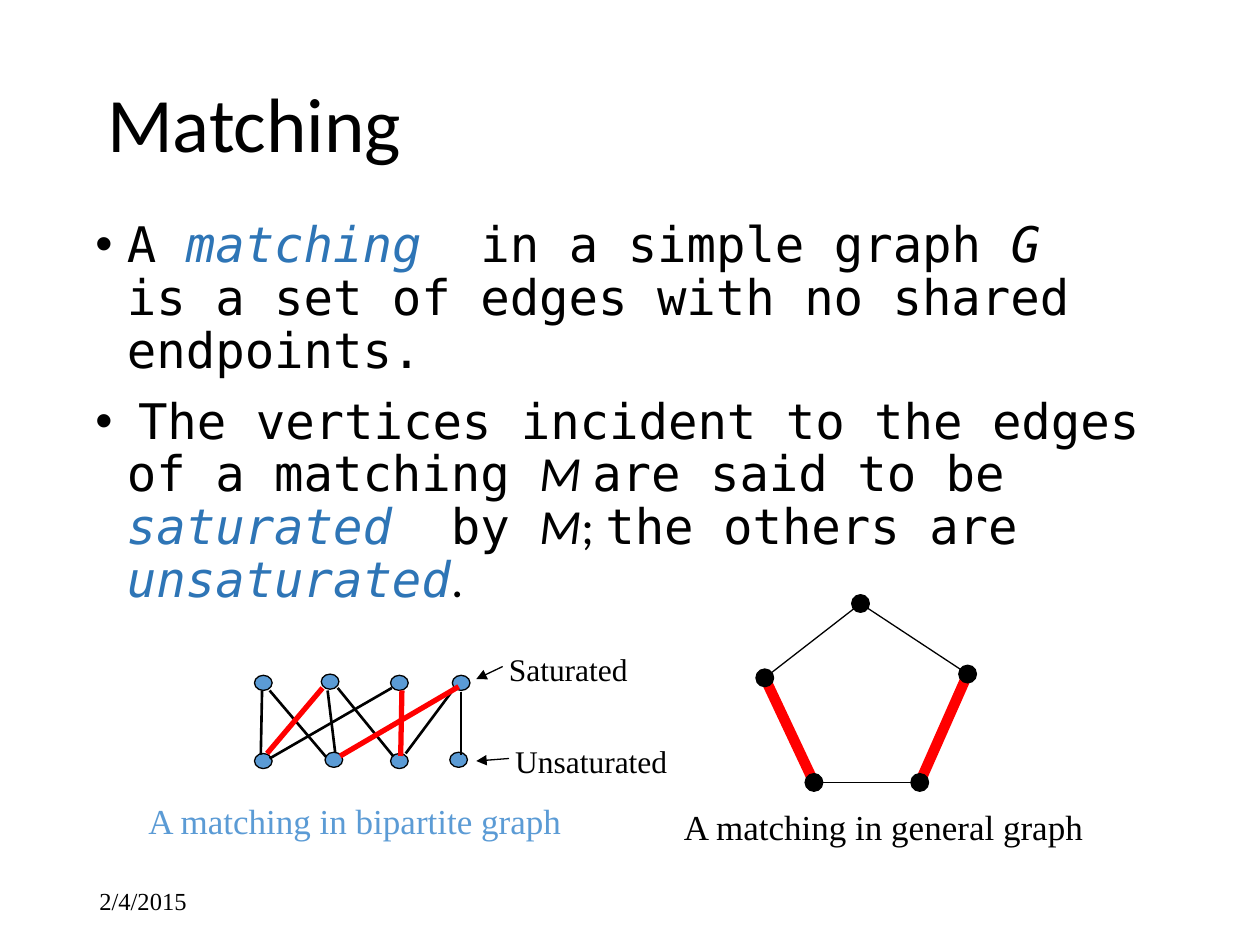
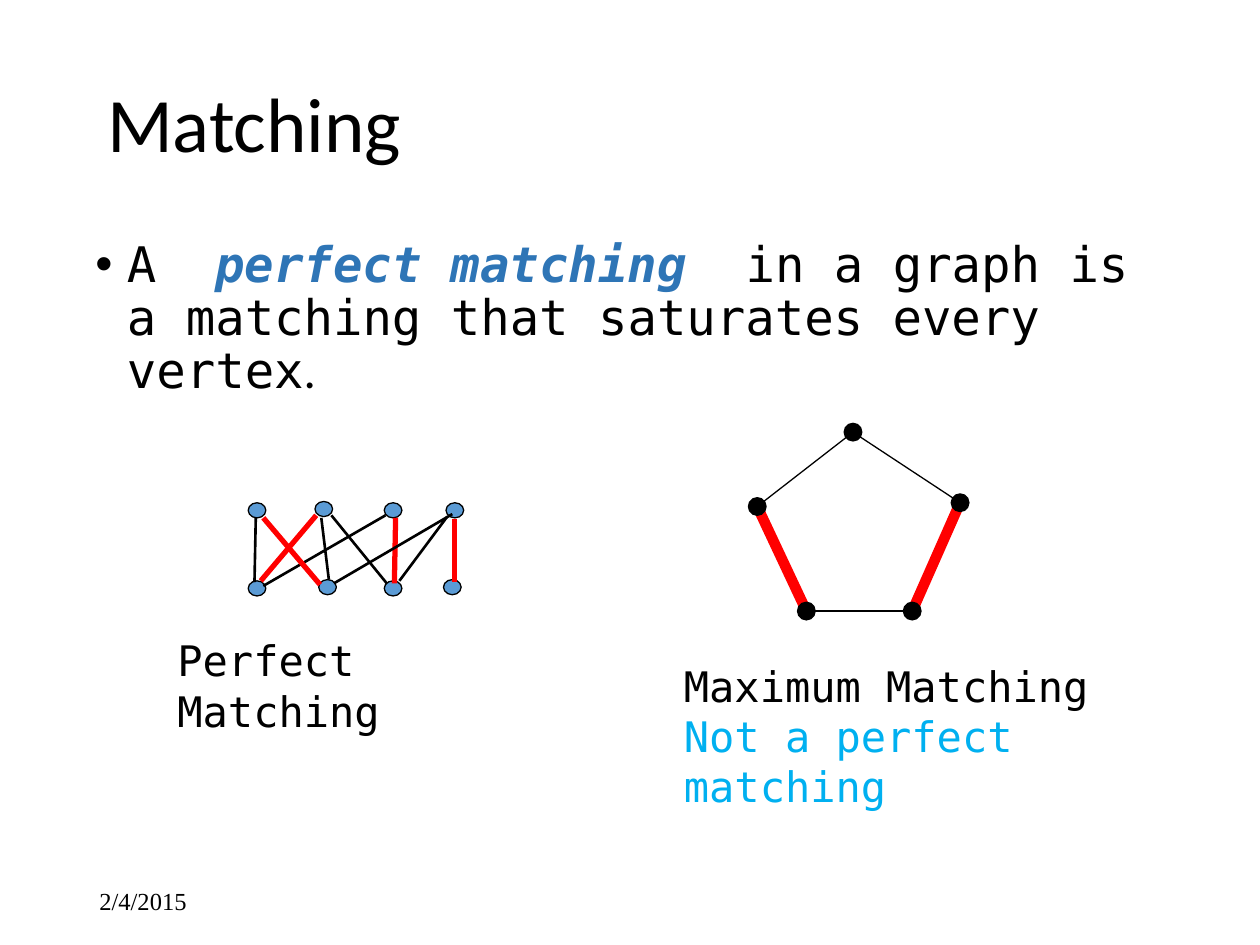
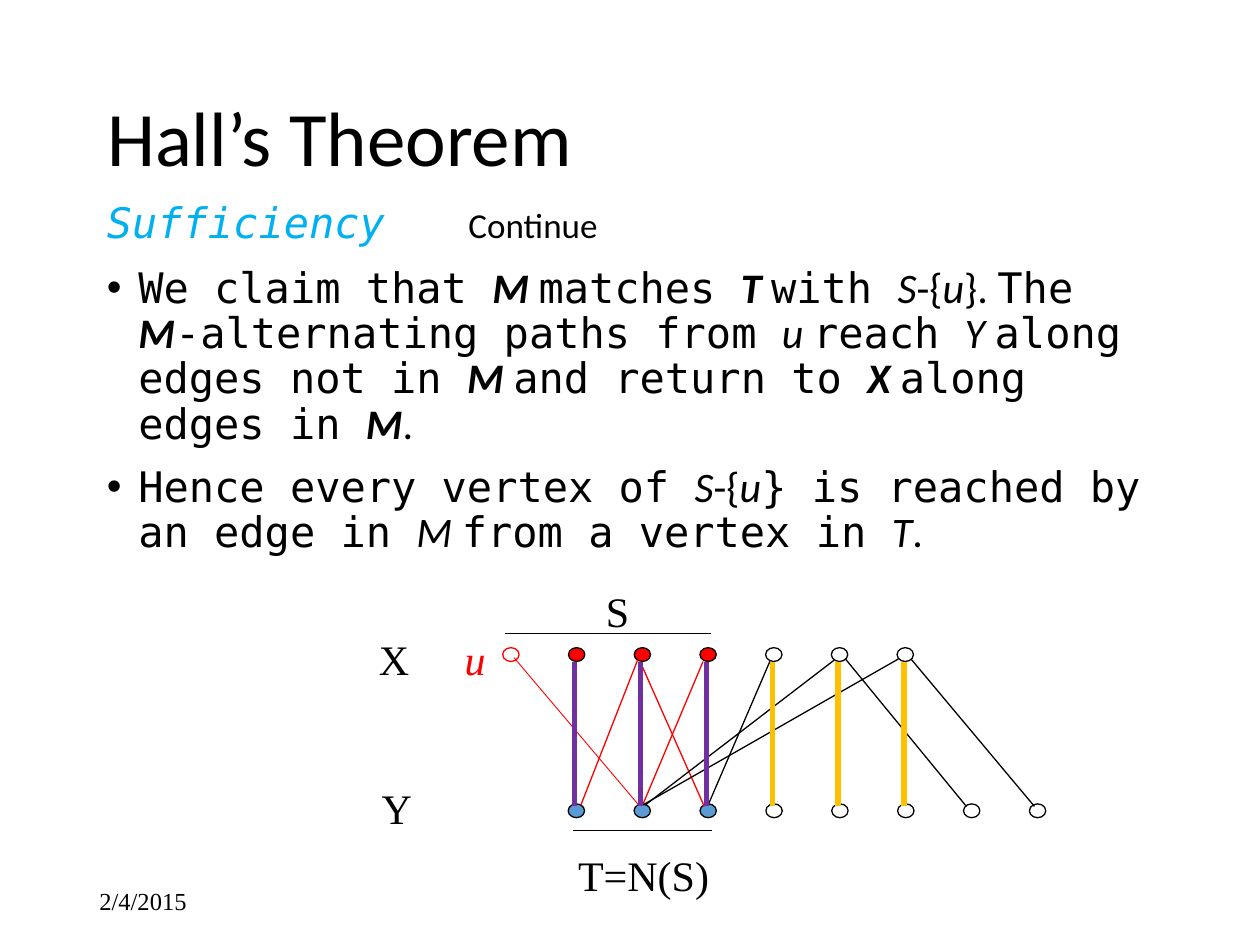
from dataclasses import dataclass
from typing import NamedTuple

from lxml.etree import SubElement
from pptx import Presentation
from pptx.dml.color import RGBColor
from pptx.enum.shapes import MSO_CONNECTOR, MSO_SHAPE
from pptx.enum.text import MSO_ANCHOR, MSO_AUTO_SIZE, PP_ALIGN
from pptx.oxml.ns import qn
from pptx.util import Inches, Pt

BLACK, RED, BLUE, SKY = "000000", "FF0000", "5B9BD5", "00B0F0"
TERM_BLUE, PURPLE, GOLD = "2E75B6", "7030A0", "FFC000"
MONO, SANS, SERIF = "DejaVu Sans Mono", "Calibri", "Times New Roman"


class Span(NamedTuple):
    text: str
    font: str = MONO
    italic: bool = False
    bold: bool = False
    color: str = BLACK
    size: float | None = None


@dataclass
class Para:
    spans: list[Span]
    size: float
    bullet: bool = False
    tab: float | None = None


class Area(NamedTuple):
    left: float
    top: float
    width: float
    height: float


class Edge(NamedTuple):
    x1: float
    y1: float
    x2: float
    y2: float
    color: str = BLACK
    weight: float = 0.75


def rgb(color: str) -> RGBColor:
    return RGBColor.from_string(color)


def term(text: str, color: str = TERM_BLUE, bold: bool = False) -> Span:
    return Span(text, italic=True, bold=bold, color=color)


def plain(text: str) -> Span:
    return Span(text, SANS)


def symbol(text: str, bold: bool = False) -> Span:
    return Span(text, SANS, italic=True, bold=bold)


# Text
def fill_para(para, content: Para) -> None:
    for span in content.spans:
        run = para.add_run()
        run.text = span.text
        font = run.font
        font.name, font.size = span.font, Pt(span.size or content.size)
        font.italic, font.bold = span.italic, span.bold
        font.color.rgb = rgb(span.color)


def add_text(page, area: Area, contents: list[Para]):
    box = page.shapes.add_textbox(*map(Inches, area))
    frame = box.text_frame
    frame.word_wrap = True
    for number, content in enumerate(contents):
        para = frame.add_paragraph() if number else frame.paragraphs[0]
        fill_para(para, content)
    return box


def add_label(page, area: Area, text: str, size: float, color: str = BLACK,
              italic: bool = False):
    span = Span(text, SERIF, italic=italic, color=color)
    return add_text(page, area, [Para([span], size)])


def add_body(page, area: Area, contents: list[Para]) -> None:
    box = add_text(page, area, contents)
    for number, (para, content) in enumerate(zip(box.text_frame.paragraphs, contents)):
        para.line_spacing = 0.9
        if number:
            para.space_before = Pt(10)
        properties = para._p.get_or_add_pPr()
        if content.bullet:
            properties.set("marL", str(Inches(0.25)))
            properties.set("indent", str(-Inches(0.25)))
            SubElement(properties, qn("a:buFont"), typeface="Arial")
            SubElement(properties, qn("a:buChar"), char="•")
        if content.tab:
            tabs = SubElement(properties, qn("a:tabLst"))
            SubElement(tabs, qn("a:tab"), pos=str(Inches(content.tab)), algn="l")


def add_page(deck, title: str, area: Area):
    page = deck.slides.add_slide(deck.slide_layouts[5])
    holder = page.shapes.title
    holder.left, holder.top, holder.width, holder.height = map(Inches, area)
    frame = holder.text_frame
    frame.auto_size = MSO_AUTO_SIZE.NONE
    frame.vertical_anchor = MSO_ANCHOR.MIDDLE
    para = frame.paragraphs[0]
    para.alignment, para.line_spacing = PP_ALIGN.LEFT, 0.9
    fill_para(para, Para([plain(title)], 44))
    date = add_label(page, Area(0.69, 6.95, 2.25, 0.4), "2/4/2015", 14)
    date.text_frame.vertical_anchor = MSO_ANCHOR.MIDDLE
    return page


# Graph parts
def add_node(page, area: Area, fill: str | None, line: str = BLACK) -> None:
    node = page.shapes.add_shape(MSO_SHAPE.OVAL, *map(Inches, area))
    node.shadow.inherit = False
    if fill:
        node.fill.solid()
        node.fill.fore_color.rgb = rgb(fill)
    else:
        node.fill.background()
    node.line.color.rgb, node.line.width = rgb(line), Pt(0.75)


def add_edge(page, edge: Edge, arrow: bool = False) -> None:
    connector = page.shapes.add_connector(MSO_CONNECTOR.STRAIGHT, *map(Inches, edge[:4]))
    connector.line.color.rgb = rgb(edge.color)
    connector.line.width = Pt(edge.weight)
    if arrow:
        SubElement(connector.line._get_or_add_ln(), qn("a:tailEnd"), type="triangle")
    SubElement(connector._element.spPr, qn("a:effectLst"))


# Small bipartite graph: offsets from its corner, edges keyed by (top, bottom) vertex
BIPARTITE_NODES = [(0, 0.01), (0.53, 0), (1.08, 0.01), (1.57, 0.01),
                   (0, 0.63), (0.56, 0.62), (1.08, 0.63), (1.55, 0.62)]
BIPARTITE_EDGES = {
    (2, 0): (0.12, 0.67, 1.09, 0.11),
    (1, 2): (0.66, 0.11, 1.1, 0.65),
    (0, 1): (0.12, 0.13, 0.57, 0.66),
    (3, 3): (1.64, 0.14, 1.64, 0.64),
    (1, 0): (0.54, 0.11, 0.1, 0.63),
    (2, 2): (1.17, 0.13, 1.16, 0.65),
    (1, 1): (0.58, 0.13, 0.64, 0.62),
    (3, 2): (1.58, 0.12, 1.2, 0.63),
    (0, 0): (0.06, 0.13, 0.05, 0.64),
    (3, 1): (0.68, 0.65, 1.62, 0.1),
}
PENTAGON_NODES = [(0.76, 0), (1.61, 0.56), (1.23, 1.42), (0.39, 1.42), (0, 0.59)]
PENTAGON_MATCHING = {1, 3}


def add_bipartite(page, left: float, top: float, matching: set[tuple[int, int]]) -> None:
    for x, y in BIPARTITE_NODES:
        add_node(page, Area(left + x, top + y, 0.14, 0.12), BLUE)
    for pair, (x1, y1, x2, y2) in BIPARTITE_EDGES.items():
        color, weight = (RED, 3) if pair in matching else (BLACK, 1.5)
        add_edge(page, Edge(left + x1, top + y1, left + x2, top + y2, color, weight))


def add_pentagon(page, left: float, top: float) -> None:
    size = 0.14
    centres = [(left + x + size / 2, top + y + size / 2) for x, y in PENTAGON_NODES]
    for number, start in enumerate(centres):
        end = centres[(number + 1) % len(centres)]
        color, weight = (RED, 6) if number in PENTAGON_MATCHING else (BLACK, 0.75)
        add_edge(page, Edge(*start, *end, color, weight))
    for x, y in PENTAGON_NODES:
        add_node(page, Area(left + x, top + y, size, size), BLACK)


# Slides
MATCHING_TITLE = Area(0.75, 0.54, 8.5, 0.94)


def add_matching(deck) -> None:
    page = add_page(deck, "Matching", MATCHING_TITLE)
    add_body(page, Area(0.66, 1.7, 8.5, 2.66), [
        Para([Span("A "), term("matching "), Span(" in a simple graph "),
              term("G ", BLACK),
              Span(" is a set of edges with no shared endpoints.")], 28, bullet=True),
        Para([plain(" "), Span("The vertices incident to the edges of a matching "),
              symbol("M "), Span("are said to be "), term("saturated "), Span(" by "),
              symbol("M"), plain("; "), Span("the others are "), term("unsaturated"),
              plain(".")], 28, bullet=True),
    ])
    add_bipartite(page, 2.02, 5.35, {(1, 0), (2, 2), (3, 1)})
    add_pentagon(page, 6, 4.72)
    add_label(page, Area(1.08, 6.3, 3.79, 0.43), "A matching in bipartite graph", 20, BLUE)
    add_label(page, Area(5.33, 6.34, 3.79, 0.43), "A matching in general graph", 20)
    add_label(page, Area(3.94, 5.11, 1.23, 0.4), "Saturated", 18)
    add_label(page, Area(3.99, 5.84, 1.49, 0.4), "Unsaturated", 18)
    add_edge(page, Edge(3.99, 5.29, 3.78, 5.39), arrow=True)
    add_edge(page, Edge(4.04, 6.02, 3.78, 6.04), arrow=True)


def add_perfect_matching(deck) -> None:
    page = add_page(deck, "Matching", MATCHING_TITLE)
    add_body(page, Area(0.66, 1.86, 8.5, 1.32), [
        Para([Span("A "), term(" perfect matching ", bold=True),
              Span(" in a graph is a matching that saturates every vertex"),
              plain(".")], 28, bullet=True),
    ])
    add_bipartite(page, 1.97, 3.98, {(0, 1), (1, 0), (2, 2), (3, 3)})
    add_pentagon(page, 5.94, 3.36)
    add_text(page, Area(1.31, 4.99, 3.01, 0.51), [Para([Span("Perfect Matching")], 24)])
    add_text(page, Area(5.33, 5.19, 3.74, 0.91), [
        Para([Span("Maximum Matching")], 24),
        Para([Span("Not a perfect matching", color=SKY)], 24),
    ])


def add_hall_graph(page) -> None:
    width, height = 0.13, 0.11
    x_row, y_row = 5.14, 6.38
    x_step, y_step = (7.12 - 3.99) / 6, (8.17 - 4.51) / 7
    x_fills = [None] + [RED] * 3 + [None] * 3
    y_fills = [BLUE] * 3 + [None] * 5
    for number, fill in enumerate(x_fills):
        line = BLACK if number else RED
        add_node(page, Area(3.99 + number * x_step, x_row, width, height), fill, line)
    for number, fill in enumerate(y_fills):
        add_node(page, Area(4.51 + number * y_step, y_row, width, height), fill)

    # Edges outside the matching
    for edge in [
        Edge(4.08, 5.22, 5.07, 6.39, RED, 0.5),
        Edge(4.61, 6.39, 5.06, 5.24, RED),
        Edge(5.59, 6.4, 5.08, 5.25, RED),
        Edge(5.1, 6.39, 5.58, 5.25, RED),
        Edge(5.62, 6.39, 6.11, 5.25),
        Edge(5.1, 6.39, 7.13, 5.23),
        Edge(5.12, 6.39, 6.62, 5.24),
        Edge(7.23, 5.23, 8.21, 6.4),
        Edge(6.71, 5.23, 7.67, 6.4),
    ]:
        add_edge(page, edge)

    # Matching edges: every X vertex but u to the Y vertex below it
    for number, color in enumerate([PURPLE] * 3 + [GOLD] * 3):
        x = 4.56 + number * y_step
        add_edge(page, Edge(x, 5.25, x, 6.4, color, 3))

    # Bars that mark S and T
    add_edge(page, Edge(4.01, 5.03, 5.64, 5.03))
    add_edge(page, Edge(4.55, 6.59, 5.65, 6.59))


def add_hall_theorem(deck) -> None:
    page = add_page(deck, "Hall’s Theorem", Area(0.75, 0.67, 8.5, 0.9))
    add_body(page, Area(0.75, 1.51, 8.5, 2.94), [
        Para([term("Sufficiency", SKY), Span("\t", size=28),
              Span("Continue", SANS, size=20)], 24, tab=2.87),
        Para([Span("We claim that "), symbol("M ", True), Span("matches "),
              symbol("T ", True), Span("with "), symbol("S"), plain("-{"), symbol("u"),
              plain("}. "), Span("The "), symbol("M", True),
              Span("-alternating paths from "), symbol("u "), Span("reach "),
              symbol("Y "), Span("along edges not in "), symbol("M ", True),
              Span("and return to "), symbol("X ", True), Span("along edges in "),
              symbol("M", True), plain(".")], 24, bullet=True),
        Para([Span("Hence every vertex of "), symbol("S"), plain("-{"), symbol("u"),
              Span("} is reached by an edge in "), symbol("M "),
              Span("from a vertex in "), symbol("T"), plain(".")], 24, bullet=True),
    ])
    add_hall_graph(page)
    add_label(page, Area(4.49, 6.69, 1.3, 0.5), "T=N(S)", 24)
    for text, left, top in [("S", 4.71, 4.6), ("X", 2.91, 4.98), ("Y", 2.93, 6.16)]:
        add_label(page, Area(left, top, 0.47, 0.5), text, 24)
    add_label(page, Area(3.59, 4.98, 0.47, 0.51), "u", 24, RED, italic=True)


def main() -> None:
    deck = Presentation()
    deck.slide_width, deck.slide_height = Inches(10), Inches(7.5)
    add_matching(deck)
    add_perfect_matching(deck)
    add_hall_theorem(deck)
    deck.save("out.pptx")


if __name__ == "__main__":
    main()
